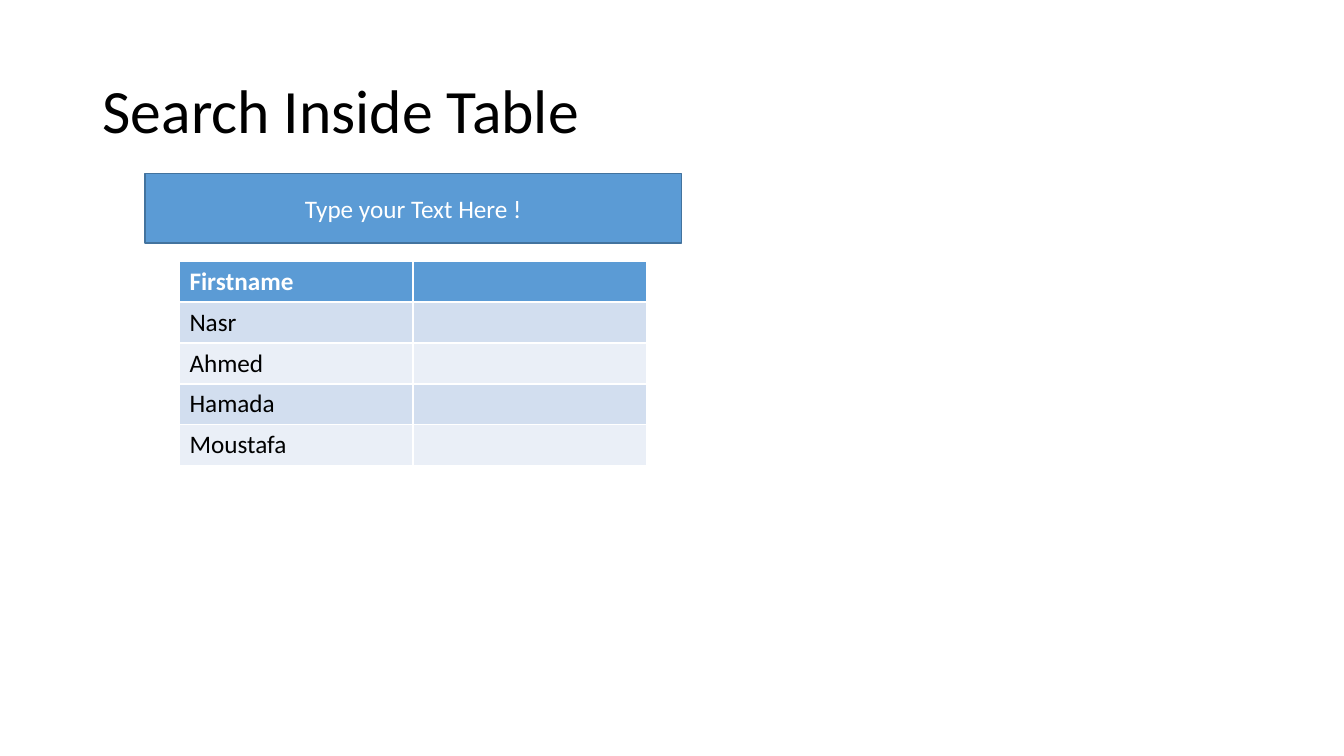
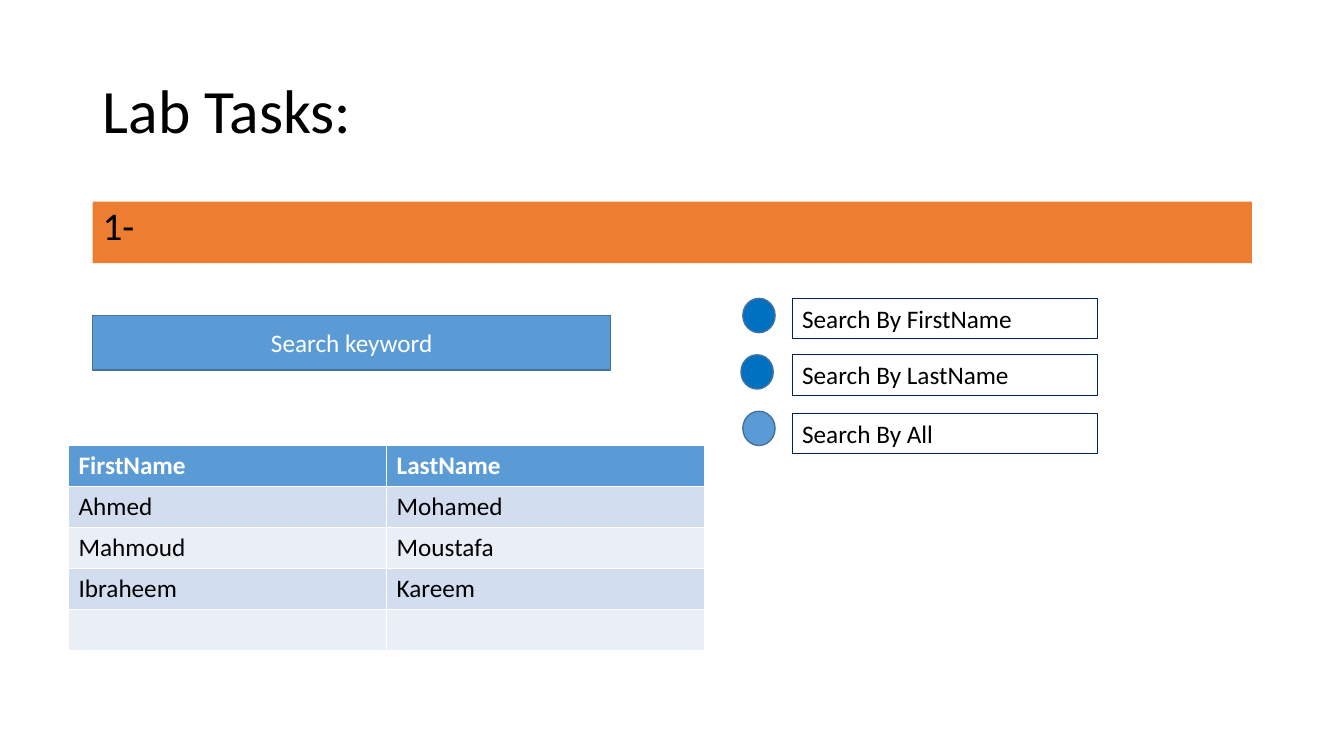
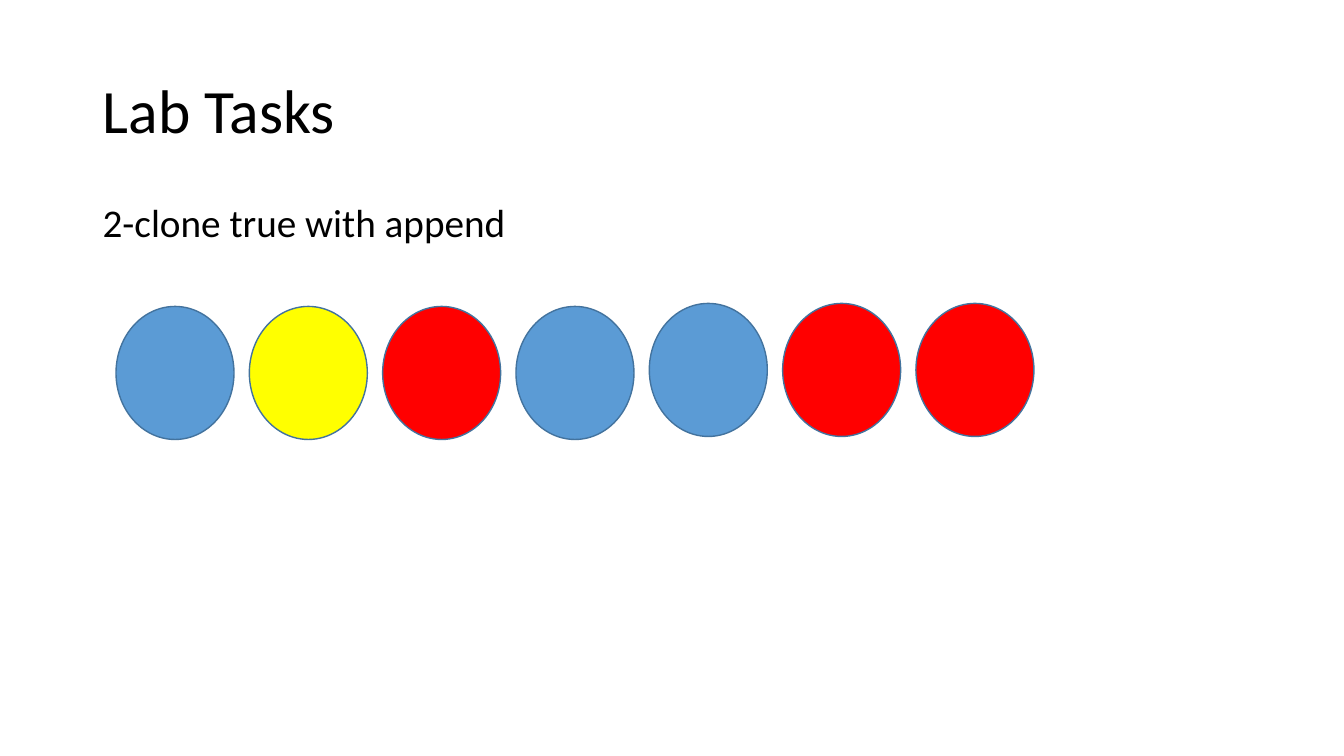
from pptx import Presentation
from pptx.dml.color import RGBColor
from pptx.enum.shapes import MSO_SHAPE as Shape
from pptx.enum.text import MSO_ANCHOR as Anchor, MSO_AUTO_SIZE as AutoSize, PP_ALIGN as Align
from pptx.util import Inches, Pt

# Shared look
FONT = "Calibri"
BLACK = RGBColor(0x00, 0x00, 0x00)
WHITE = RGBColor(0xFF, 0xFF, 0xFF)
BLUE = RGBColor(0x5B, 0x9B, 0xD5)
DARK_BLUE = RGBColor(0x00, 0x70, 0xC0)
OUTLINE = RGBColor(0x43, 0x73, 0x9E)
NAVY = RGBColor(0x00, 0x20, 0x60)
ORANGE = RGBColor(0xED, 0x7D, 0x31)
YELLOW = RGBColor(0xFF, 0xFF, 0x00)
RED = RGBColor(0xFF, 0x00, 0x00)
ROW_BANDS = (RGBColor(0xD2, 0xDE, 0xEF), RGBColor(0xEA, 0xEF, 0xF7))

# Grid of 100 columns by 100 rows
WIDTH, HEIGHT = Inches(13.33), Inches(7.5)
MARGIN, CONTENT_WIDTH = 6.9, 86.25
TABLE_ROW = 5.42


def grid(left, top, width, height):
    """Turn columns and rows of the grid into slide lengths."""
    return (round(WIDTH * left / 100), round(HEIGHT * top / 100),
            round(WIDTH * width / 100), round(HEIGHT * height / 100))


def style(paragraph, size, color=BLACK, bold=False):
    font = paragraph.font
    font.name, font.size, font.bold = FONT, Pt(size), bold
    font.color.rgb = color


def add_text(slide, text, place, size):
    box = slide.shapes.add_textbox(*grid(*place))
    box.text_frame.word_wrap = True
    paragraph = box.text_frame.paragraphs[0]
    paragraph.text = text
    style(paragraph, size)
    return box


def add_titled_slide(deck, title):
    slide = deck.slides.add_slide(deck.slide_layouts[6])
    heading = add_text(slide, title, (MARGIN, 5.33, CONTENT_WIDTH, 19.33), 44)
    heading.text_frame.vertical_anchor = Anchor.MIDDLE
    heading.text_frame.paragraphs[0].line_spacing = 0.9
    return slide


def add_task(slide, text, top, height):
    task = add_text(slide, text, (MARGIN, top, CONTENT_WIDTH, height), 28)
    paragraph = task.text_frame.paragraphs[0]
    paragraph.line_spacing, paragraph.space_before = 0.9, Pt(10)
    return task


def add_outlined(slide, kind, place, fill):
    figure = slide.shapes.add_shape(kind, *grid(*place))
    figure.shadow.inherit = False
    figure.fill.solid()
    figure.fill.fore_color.rgb = fill
    figure.line.color.rgb = OUTLINE
    figure.line.width = Pt(1)
    return figure


def add_search_field(slide, prompt, place):
    field = add_outlined(slide, Shape.RECTANGLE, place, BLUE)
    field.text_frame.vertical_anchor = Anchor.MIDDLE
    paragraph = field.text_frame.paragraphs[0]
    paragraph.text = prompt
    paragraph.alignment = Align.CENTER
    style(paragraph, 18, WHITE)


def add_option(slide, text, circle_left, circle_top, label_top, fill):
    add_outlined(slide, Shape.OVAL, (circle_left, circle_top, 2.4, 4.53), fill)
    label = add_text(slide, text, (58.95, label_top, 22.73, 5.33), 18)
    label.text_frame.auto_size = AutoSize.SHAPE_TO_FIT_TEXT
    label.line.color.rgb = NAVY
    label.line.width = Pt(0.75)


def add_names(slide, rows, left, top, width):
    """Add a table with a header row and banded rows below it."""
    place = grid(left, top, width, TABLE_ROW * len(rows))
    names = slide.shapes.add_table(len(rows), len(rows[0]), *place).table
    for r, row in enumerate(rows):
        header = r == 0
        for c, name in enumerate(row):
            cell = names.cell(r, c)
            cell.fill.solid()
            cell.fill.fore_color.rgb = BLUE if header else ROW_BANDS[(r - 1) % 2]
            cell.text = name
            style(cell.text_frame.paragraphs[0], 18, WHITE if header else BLACK, header)


def build_search(deck):
    slide = add_titled_slide(deck, "Search Inside Table")
    add_search_field(slide, "Type your Text Here !", (10.8, 22.93, 39.9, 9.2))
    first_names = ("Firstname", "Nasr", "Ahmed", "Hamada", "Moustafa")
    add_names(slide, [(name, "") for name in first_names], 13.35, 34.53, 34.75)


def build_search_task(deck):
    slide = add_titled_slide(deck, "Lab Tasks:")
    band = add_task(slide, "1-", 26.67, 8.13)
    band.fill.solid()
    band.fill.fore_color.rgb = ORANGE

    # Search options
    for option in (("Search By FirstName", 55.27, 39.47, 39.47, DARK_BLUE),
                   ("Search By LastName", 55.13, 46.93, 46.93, DARK_BLUE),
                   ("Search By All", 55.27, 54.4, 54.67, BLUE)):
        add_option(slide, *option)

    # Search field and names
    add_search_field(slide, "Search keyword", (MARGIN, 41.73, 38.55, 7.2))
    people = [("FirstName", "LastName"), ("Ahmed", "Mohamed"),
              ("Mahmoud", "Moustafa"), ("Ibraheem", "Kareem"), ("", "")]
    add_names(slide, people, 5.1, 58.93, 47.33)


def build_clone_task(deck):
    slide = add_titled_slide(deck, "Lab Tasks")
    add_task(slide, "2-clone true with append", 26.27, 12.27)

    # Four starting circles, then the appended clones slightly higher
    for i, fill in enumerate((BLUE, YELLOW, RED, BLUE, BLUE, RED, RED)):
        top = 40.53 if i < 4 else 40.13
        add_outlined(slide, Shape.OVAL, (8.63 + 9.92 * i, top, 8.78, 17.6), fill)


def main():
    deck = Presentation()
    deck.slide_width, deck.slide_height = WIDTH, HEIGHT
    build_search(deck)
    build_search_task(deck)
    build_clone_task(deck)
    deck.save("out.pptx")


main()
